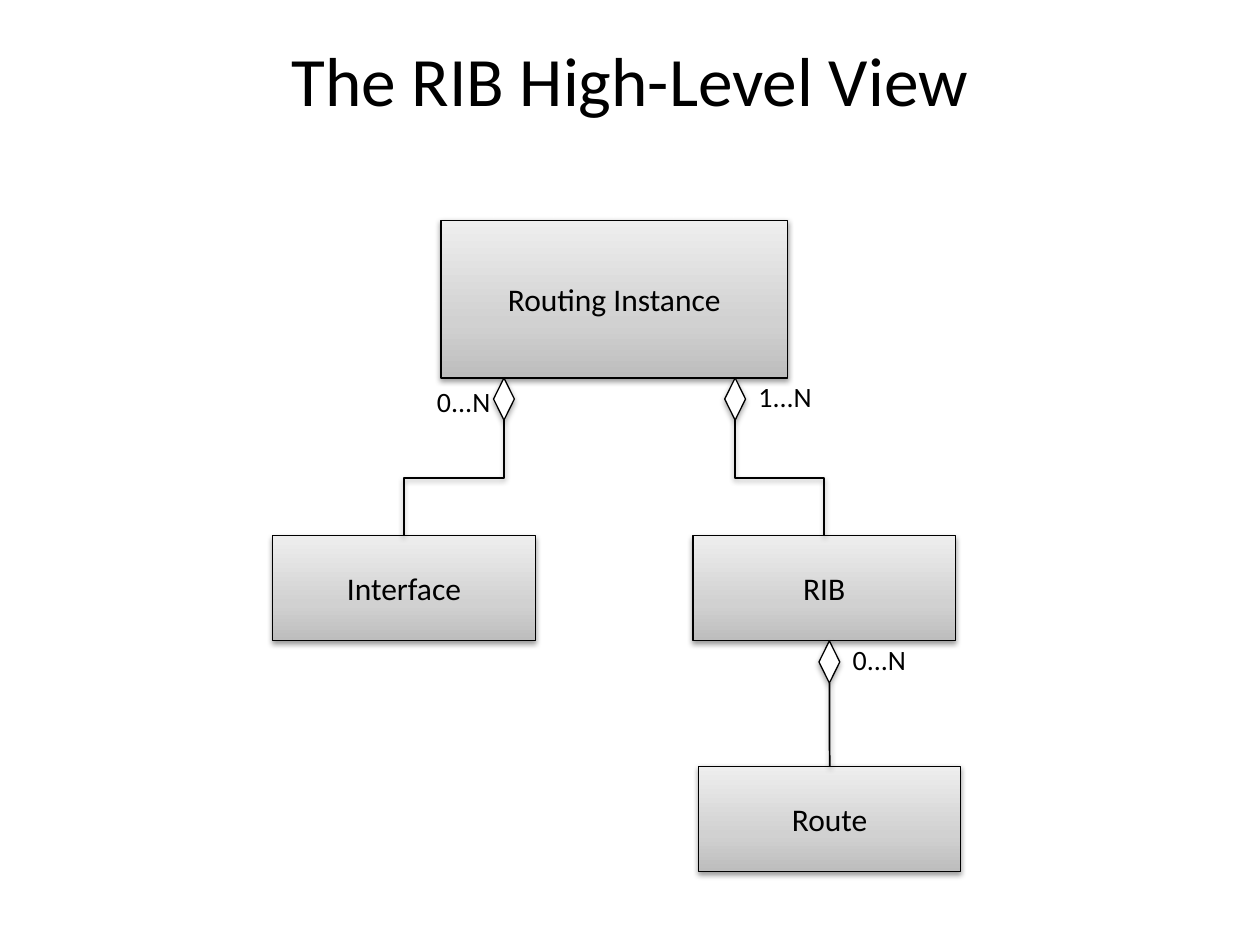
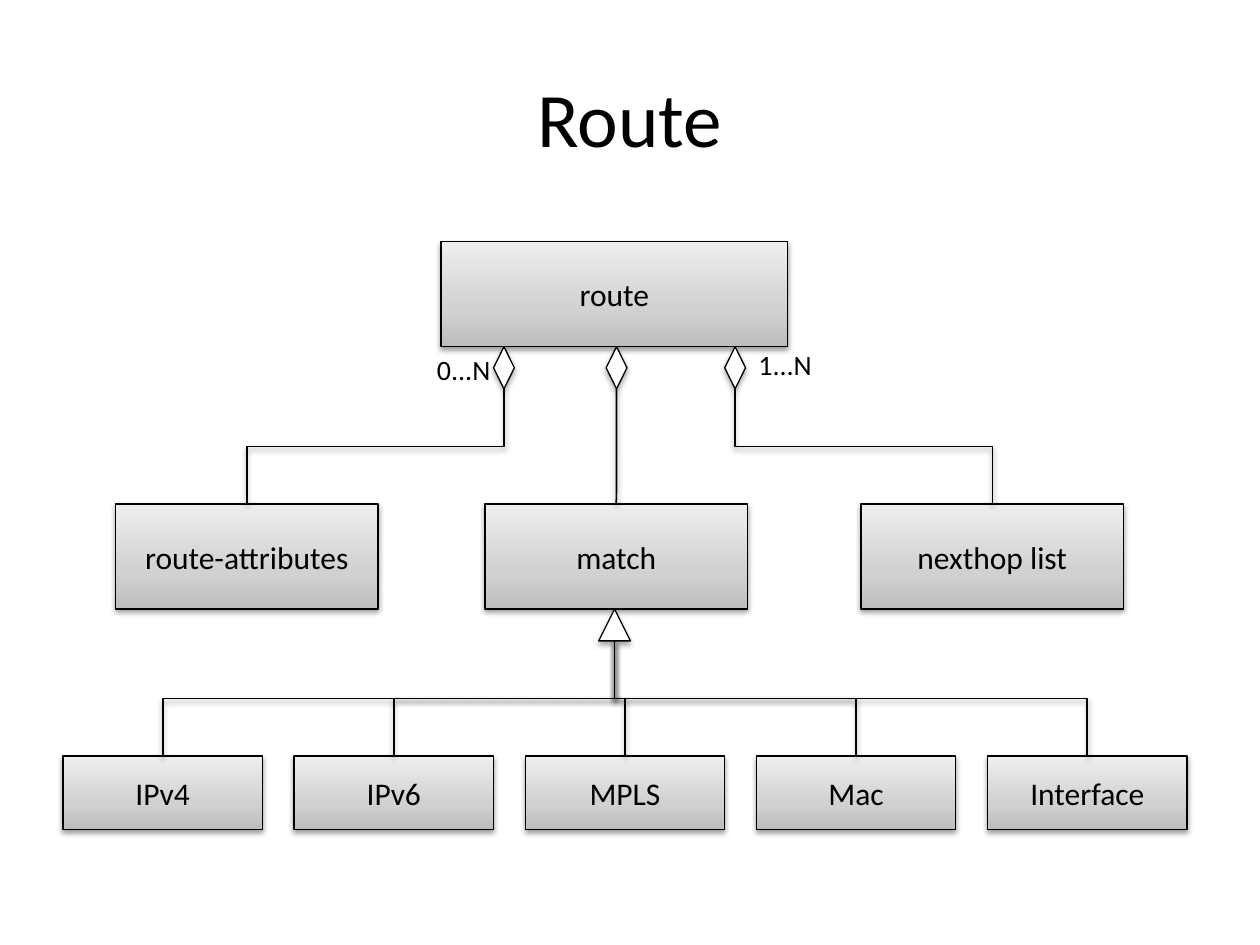
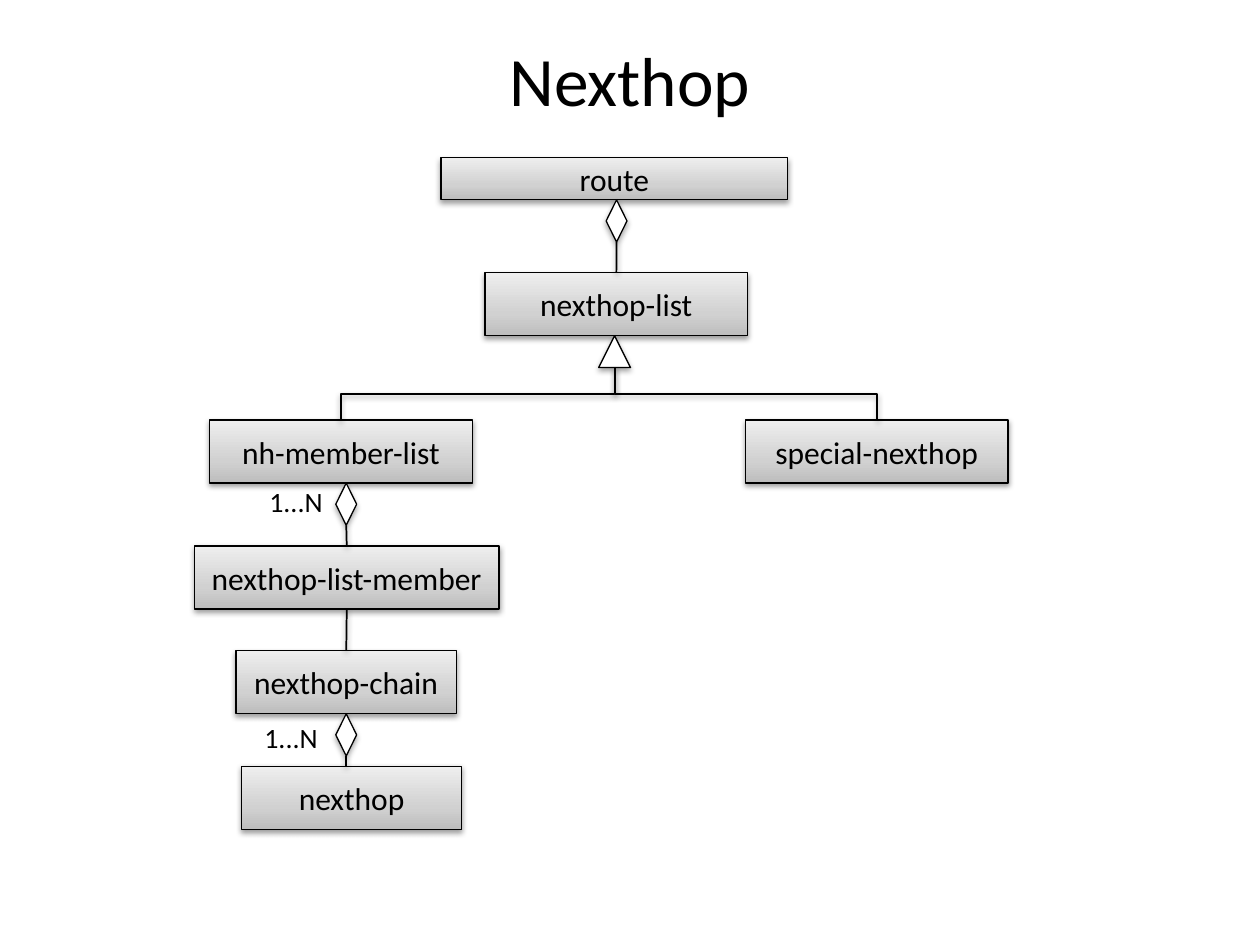
"""Build three class diagrams of the routing information base."""
import copy
from dataclasses import dataclass
from typing import Optional

from lxml import etree
from pptx import Presentation
from pptx import slide as sl
from pptx import util as u
from pptx.dml import color as dml
from pptx.enum import shapes, text
from pptx.oxml import ns
from pptx.shapes import base as sb

COLORS = {"ink": "000000", "paper": "FFFFFF", "dark": "BDBDBD", "middle": "D1D1D1", "light": "EEEEEE"}
BLOCK_STOPS = ((0, "dark"), (0.35, "middle"), (1, "light"))
FONT = "Calibri"
KINDS = {
    "diamond": (shapes.MSO_SHAPE.DIAMOND, u.Cm(0.42), u.Cm(0.85)),
    "triangle": (shapes.MSO_SHAPE.ISOSCELES_TRIANGLE, u.Cm(0.64), u.Cm(0.64)),
}
TOP, BOTTOM = 0, 2


@dataclass(frozen=True)
class Block:
    words: str
    left: float
    top: float
    width: float = 5.29
    height: float = 2.12


@dataclass(frozen=True)
class Label:
    words: str
    left: float
    top: float


@dataclass(frozen=True)
class Link:
    parent: str
    children: tuple[str, ...]
    route: str
    kind: Optional[str] = None
    left: float = 0
    label: Optional[Label] = None


@dataclass(frozen=True)
class Diagram:
    title: str
    blocks: tuple[Block, ...]
    links: tuple[Link, ...]
    title_size: float = 39.6
    title_anchor: text.MSO_ANCHOR = text.MSO_ANCHOR.TOP


LEAVES = ("IPv4", "IPv6", "MPLS", "Mac", "Interface")

DIAGRAMS = (
    Diagram(
        "The RIB High-Level View",
        (
            Block("Routing Instance", 8.89, 4.44, 6.99, 3.18),
            Block("Interface", 5.5, 10.8),
            Block("RIB", 13.97, 10.8),
            Block("Route", 14.08, 15.45),
        ),
        (
            Link("Routing Instance", ("Interface",), "elbow", "diamond", 9.95, Label("0...N", 8.56, 7.62)),
            Link("Routing Instance", ("RIB",), "elbow", "diamond", 14.61, Label("1...N", 15.04, 7.52)),
            Link("RIB", ("Route",), "joined", "diamond", 16.51, Label("0...N", 16.94, 12.83)),
        ),
    ),
    Diagram(
        "Route",
        (
            Block("route", 8.89, 4.87, 6.99),
            Block("route-attributes", 2.33, 10.16),
            Block("match", 9.78, 10.16),
            Block("nexthop list", 17.36, 10.16),
            *(Block(leaf, 1.27 + 4.66 * i, 15.24, 4.02, 1.48) for i, leaf in enumerate(LEAVES)),
        ),
        (
            Link("route", ("route-attributes",), "elbow", "diamond", 9.95, Label("0...N", 8.56, 6.99)),
            Link("route", ("match",), "joined", "diamond", 12.22),
            Link("route", ("nexthop list",), "elbow", "diamond", 14.61, Label("1...N", 15.04, 6.88)),
            Link("match", LEAVES, "elbow", "triangle", 12.07),
        ),
        44,
        text.MSO_ANCHOR.MIDDLE,
    ),
    Diagram(
        "Nexthop",
        (
            Block("route", 8.89, 3.18, 6.99, 0.85),
            Block("nexthop-list", 9.78, 5.5, height=1.27),
            Block("nh-member-list", 4.23, 8.47, height=1.27),
            Block("special-nexthop", 15.03, 8.47, height=1.27),
            Block("nexthop-list-member", 3.92, 11.01, 6.14, 1.27),
            Block("nexthop-chain", 4.76, 13.12, 4.44, 1.27),
            Block("nexthop", 4.87, 15.45, 4.44, 1.27),
        ),
        (
            Link("route", ("nexthop-list",), "joined", "diamond", 12.22),
            Link("nexthop-list", ("nh-member-list", "special-nexthop"), "elbow", "triangle", 12.07),
            Link("nh-member-list", ("nexthop-list-member",), "joined", "diamond", 6.77, Label("1...N", 5.18, 9.65)),
            Link("nexthop-list-member", ("nexthop-chain",), "joined"),
            Link("nexthop-chain", ("nexthop",), "drop", "diamond", 6.77, Label("1...N", 5.08, 14.4)),
        ),
    ),
)


def rgb(name: str) -> dml.RGBColor:
    """Look up a named colour."""
    return dml.RGBColor.from_string(COLORS[name])


def write(box: sb.BaseShape, words: str, *, size: float, align: text.PP_ALIGN = text.PP_ALIGN.CENTER,
          anchor: text.MSO_ANCHOR = text.MSO_ANCHOR.MIDDLE, wrap: bool = True) -> None:
    """Put one formatted line of text into a shape."""
    frame = box.text_frame
    frame.word_wrap = wrap
    frame.vertical_anchor = anchor
    para = frame.paragraphs[0]
    para.alignment = align
    span = para.add_run()
    span.text = words
    span.font.name = FONT
    span.font.size = u.Pt(size)
    span.font.color.rgb = rgb("ink")


def add_shadow(item: sb.BaseShape, distance: int = 20000, opacity: int = 38000) -> None:
    """Give a shape or connector a soft shadow below it."""
    props = item.element.spPr
    effects = props.find(ns.qn("a:effectLst"))
    if effects is None:
        effects = etree.SubElement(props, ns.qn("a:effectLst"))
    shadow = etree.SubElement(effects, ns.qn("a:outerShdw"), blurRad="40000", dist=str(distance),
                              dir="5400000", rotWithShape="0")
    tint = etree.SubElement(shadow, ns.qn("a:srgbClr"), val=COLORS["ink"])
    etree.SubElement(tint, ns.qn("a:alpha"), val=str(opacity))


def outline(item: sb.BaseShape, width: float) -> None:
    """Draw the line of a shape or connector in ink."""
    item.line.color.rgb = rgb("ink")
    item.line.width = u.Pt(width)


def draw_title(page: sl.Slide, diagram: Diagram) -> None:
    """Write the slide title."""
    box = page.shapes.add_textbox(u.Cm(1.27), u.Cm(0.76), u.Cm(22.86), u.Cm(3.18))
    if diagram.title_anchor == text.MSO_ANCHOR.TOP:
        box.text_frame.margin_top = 0
    write(box, diagram.title, size=diagram.title_size, anchor=diagram.title_anchor)


def draw_block(page: sl.Slide, block: Block) -> sb.BaseShape:
    """Draw a class box with a grey gradient."""
    box = page.shapes.add_shape(shapes.MSO_SHAPE.RECTANGLE, u.Cm(block.left), u.Cm(block.top),
                                u.Cm(block.width), u.Cm(block.height))
    box.fill.gradient()
    box.fill.gradient_angle = 90
    stops = box.element.spPr.find(".//" + ns.qn("a:gsLst"))
    stops.append(copy.deepcopy(stops[0]))
    for stop, (position, name) in zip(box.fill.gradient_stops, BLOCK_STOPS):
        stop.position = position
        stop.color.rgb = rgb(name)
    outline(box, 0.75)
    box.shadow.inherit = False
    add_shadow(box)
    write(box, block.words, size=18)
    return box


def draw_mark(page: sl.Slide, parent: sb.BaseShape, kind: str, left: float) -> sb.BaseShape:
    """Hang a diamond or triangle under a block."""
    preset, width, height = KINDS[kind]
    mark = page.shapes.add_shape(preset, u.Cm(left), parent.top + parent.height, width, height)
    mark.fill.solid()
    mark.fill.fore_color.rgb = rgb("paper")
    outline(mark, 0.75)
    mark.shadow.inherit = False
    add_shadow(mark, 23000, 35000)
    return mark


def draw_label(page: sl.Slide, label: Label) -> None:
    """Write a multiplicity next to a mark."""
    box = page.shapes.add_textbox(u.Cm(label.left), u.Cm(label.top), u.Cm(1.6), u.Cm(0.94))
    write(box, label.words, size=16, align=text.PP_ALIGN.LEFT, anchor=text.MSO_ANCHOR.TOP, wrap=False)
    box.text_frame.auto_size = text.MSO_AUTO_SIZE.SHAPE_TO_FIT_TEXT


def draw_connector(page: sl.Slide, start: sb.BaseShape, child: sb.BaseShape, route: str) -> None:
    """Connect the bottom of one shape to the top of another."""
    x1, y1 = start.left + start.width // 2, start.top + start.height
    x2, y2 = child.left + child.width // 2, child.top
    if route == "elbow":
        width, height = y2 - y1, abs(x2 - x1)
        left, top = (x1 + x2 - width) // 2, (y1 + y2 - height) // 2
        line = page.shapes.add_connector(shapes.MSO_CONNECTOR.ELBOW, left, top, left + width, top + height)
        frame = line.element.spPr.find(ns.qn("a:xfrm"))
        if x2 < x1:
            frame.set("rot", "5400000")
        else:
            frame.set("rot", "16200000")
            frame.set("flipH", "1")
    else:
        line = page.shapes.add_connector(shapes.MSO_CONNECTOR.STRAIGHT, x1, y1, x1, y2)
        line.begin_connect(start, BOTTOM)
        if route == "joined":
            line.end_connect(child, TOP)
    outline(line, 1)
    add_shadow(line)


def draw_diagram(page: sl.Slide, diagram: Diagram) -> None:
    """Draw the title, blocks and links of one slide."""
    draw_title(page, diagram)
    boxes = {block.words: draw_block(page, block) for block in diagram.blocks}
    for link in diagram.links:
        start = boxes[link.parent]
        if link.kind:
            start = draw_mark(page, start, link.kind, link.left)
        for child in link.children:
            draw_connector(page, start, boxes[child], link.route)
        if link.label:
            draw_label(page, link.label)


def main() -> None:
    """Build and save the deck."""
    deck = Presentation()
    deck.slide_width, deck.slide_height = u.Cm(25.4), u.Cm(19.05)
    for diagram in DIAGRAMS:
        draw_diagram(deck.slides.add_slide(deck.slide_layouts[6]), diagram)
    deck.save("out.pptx")


if __name__ == "__main__":
    main()
